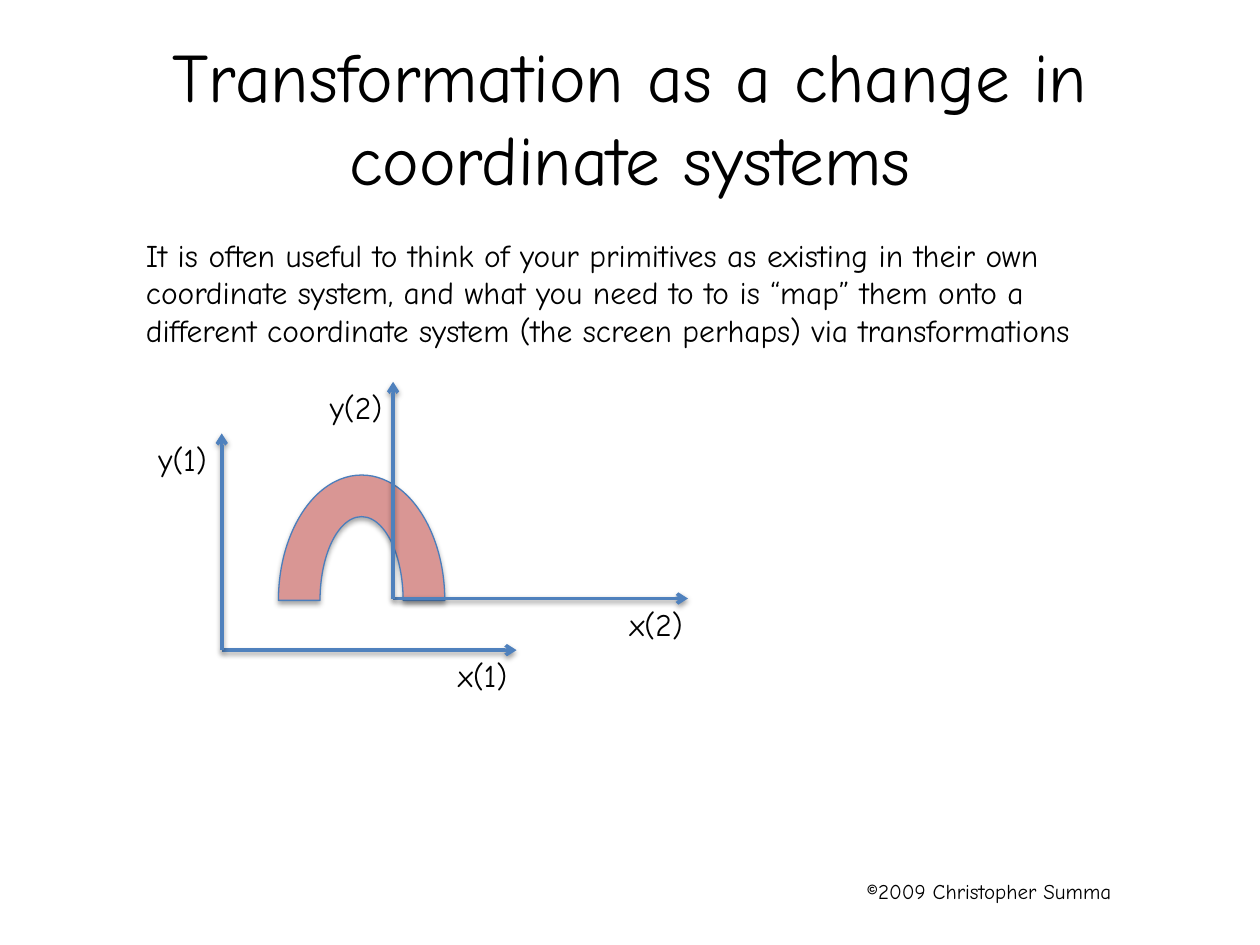
from lxml import etree
from pptx import Presentation
from pptx import util as u
from pptx.dml.color import RGBColor
from pptx.enum import shapes, text
from pptx.oxml import ns

FONT = "Comic Neue"
BLUE, EDGE, PINK, BLACK = "4F81BD", "4B7EBC", "D99694", "000000"


def paint(color, code):
    color.rgb = RGBColor.from_string(code)


def add_sub(parent, tag, **attrs):
    return etree.SubElement(parent, ns.qn(tag), attrs)


def style(frame, size):
    for para in frame.paragraphs:
        for run in para.runs:
            run.font.name, run.font.size = FONT, u.Pt(size)
            paint(run.font.color, BLACK)


def shade(shape, alpha, dist):
    """Give the shape a soft shadow straight below; call after its line is set."""
    effects = add_sub(shape._element.spPr, "a:effectLst")
    outer = add_sub(effects, "a:outerShdw", blurRad=str(u.Pt(3.1)),
                    dist=str(u.Pt(dist)), dir="5400000", rotWithShape="0")
    color = add_sub(outer, "a:srgbClr", val=BLACK)
    add_sub(color, "a:alpha", val=str(alpha * 1000))


def add_text(slide, box, words, size=18, wrap=False):
    label = slide.shapes.add_textbox(*map(u.Inches, box))
    frame = label.text_frame
    frame.text = words
    frame.word_wrap = wrap
    frame.auto_size = text.MSO_AUTO_SIZE.SHAPE_TO_FIT_TEXT
    style(frame, size)


def add_title(slide, box, words):
    title = slide.shapes.title
    title.left, title.top, title.width, title.height = map(u.Inches, box)
    frame = title.text_frame
    frame.text = words
    frame.auto_size = text.MSO_AUTO_SIZE.NONE
    frame.vertical_anchor = text.MSO_ANCHOR.MIDDLE
    frame.paragraphs[0].alignment = text.PP_ALIGN.CENTER
    style(frame, 39.6)


def add_arrow(slide, start, end):
    line = slide.shapes.add_connector(
        shapes.MSO_CONNECTOR.STRAIGHT, *map(u.Inches, (*start, *end)))
    paint(line.line.color, BLUE)
    line.line.width = u.Pt(2)
    add_sub(line.line._get_or_add_ln(), "a:tailEnd", type="arrow")
    shade(line, 38, 1.6)


def add_axes(slide, box, number, label_w):
    """Draw x and y axes along the bottom and left edges of the box."""
    left, top, width, height = box
    base, label_h = top + height, 0.4
    add_arrow(slide, (left, base), (left + width, base))
    add_arrow(slide, (left, base), (left, top))
    add_text(slide, (left + 0.76 * width, base, label_w, label_h), f"x({number})")
    add_text(slide, (left - 0.6, top, label_w, label_h), f"y({number})")


def add_arch(slide, box):
    arch = slide.shapes.add_shape(
        shapes.MSO_SHAPE.BLOCK_ARC, *map(u.Inches, box))
    arch.fill.solid()
    paint(arch.fill.fore_color, PINK)
    paint(arch.line.color, EDGE)
    arch.line.width = u.Pt(0.75)
    shade(arch, 35, 1.8)


def main():
    deck = Presentation()
    deck.slide_width, deck.slide_height = u.Inches(10), u.Inches(7.5)
    slide = deck.slides.add_slide(deck.slide_layouts[5])
    add_title(slide, (0.5, 0.3, 9, 1.25),
              "Transformation as a change in coordinate systems")
    add_text(slide, (6.78, 6.92, 2.47, 0.3), "©2009 Christopher Summa", 12, True)
    add_text(slide, (1.06, 1.82, 8.1, 1.01), "\n".join((
        "It is often useful to think of your primitives as existing in their own",
        "coordinate system, and what you need to to is “map” them onto a",
        "different coordinate system (the screen perhaps) via transformations")))
    add_axes(slide, (1.76, 3.44, 2.34, 1.72), 1, 0.6)
    add_arch(slide, (2.21, 3.77, 1.32, 1.99))
    add_axes(slide, (3.12, 3.03, 2.34, 1.72), 2, 0.65)
    deck.save("out.pptx")


if __name__ == "__main__":
    main()
